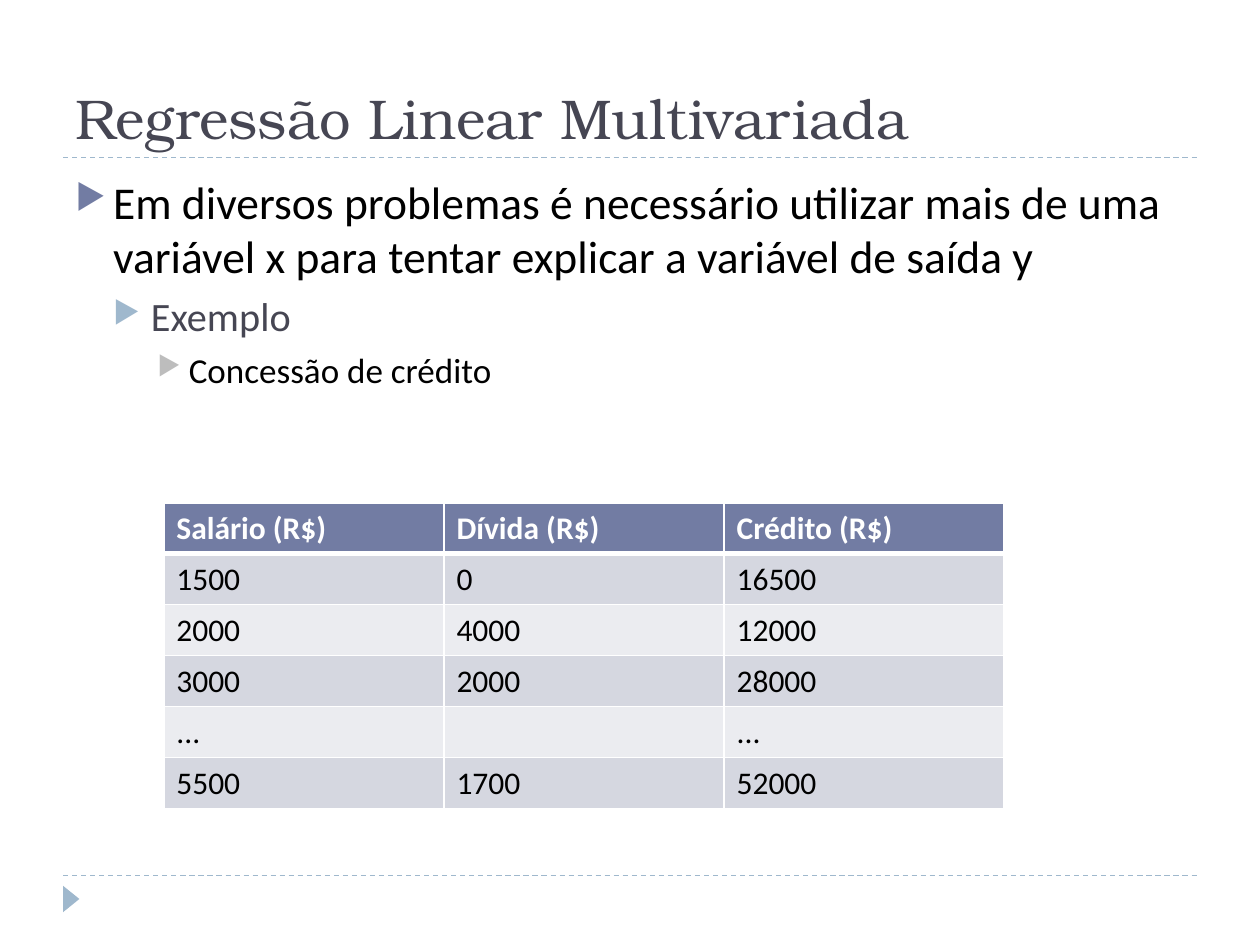
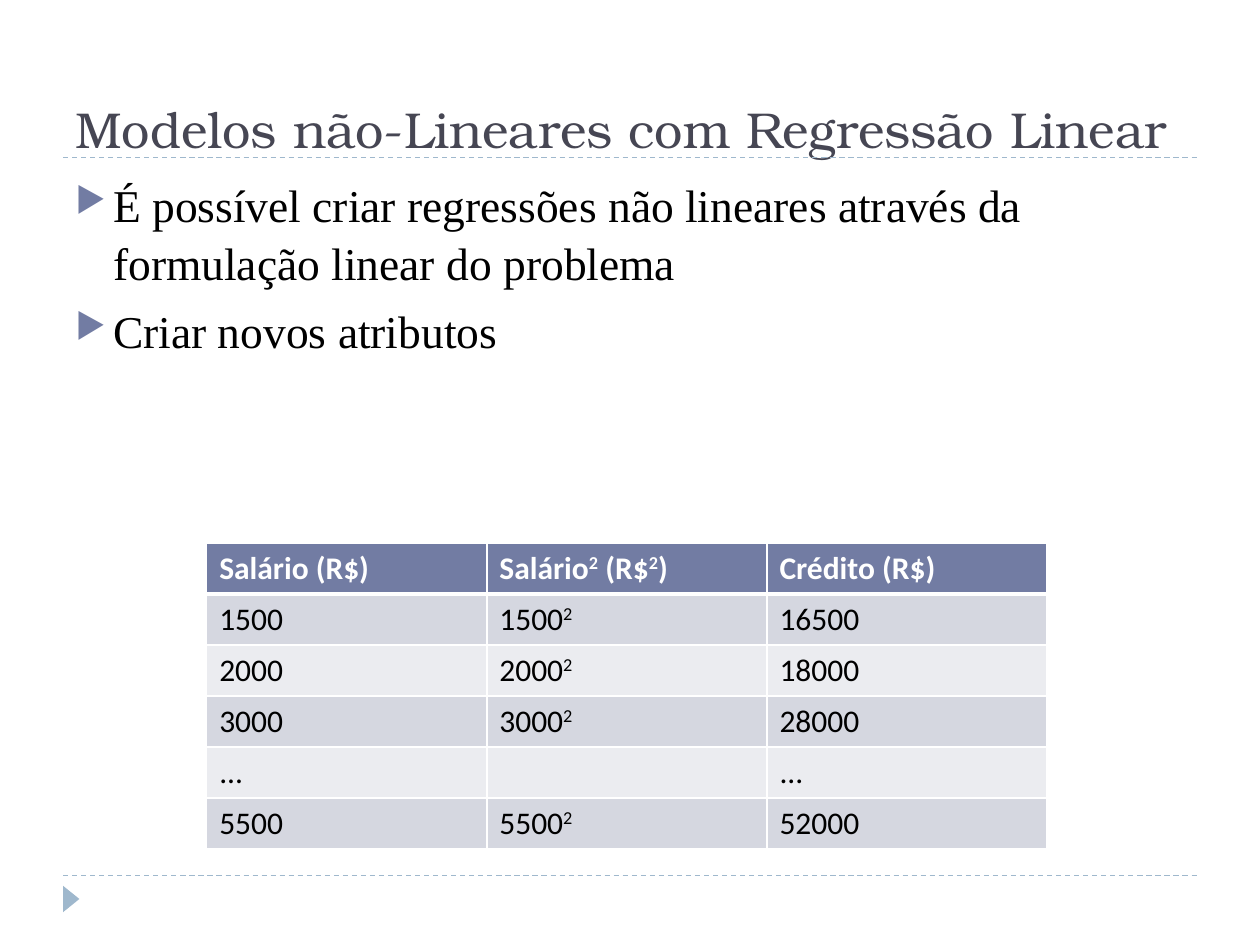
from dataclasses import dataclass

from lxml.etree import SubElement
from pptx import Presentation
from pptx.dml.color import RGBColor
from pptx.enum.dml import MSO_LINE
from pptx.enum.shapes import MSO_CONNECTOR, MSO_SHAPE
from pptx.enum.text import MSO_ANCHOR, MSO_AUTO_SIZE
from pptx.oxml.ns import qn
from pptx.util import Inches, Pt


@dataclass(frozen=True)
class Theme:
    white: str = "FFFFFF"
    black: str = "000000"
    slate: str = "464653"
    head: str = "727CA3"
    pale: str = "9FB8CD"
    grey: str = "BDBDBD"
    bands: tuple = ("D5D7E0", "EBECF0")
    serif: str = "TeX Gyre Bonum"
    sans: str = "Calibri"
    roman: str = "Times New Roman"
    title: float = 32
    small: float = 28.8
    cell: float = 18
    rule: float = 0.75
    thin: float = 1
    thick: float = 3


THEME = Theme()
LEVELS = (
    dict(size=26, color=THEME.black, mark=THEME.head, left=0.3, hang=0.3, before=6),
    dict(size=23, color=THEME.slate, mark=THEME.pale, left=0.6, hang=0.3, before=5),
    dict(size=20, color=THEME.black, mark=THEME.grey, left=0.9, hang=0.25, before=5),
)


def write(para, text, *, size, font, color, bold=False):
    for place, piece in enumerate(text.split("^")):
        if not piece:
            continue
        run = para.add_run()
        run.text = piece
        run.font.size = Pt(size)
        run.font.name = font
        run.font.bold = bold
        run.font.color.rgb = RGBColor.from_string(color)
        if place % 2:
            run.font._element.set("baseline", "30000")


def bullet(para, *, mark, left, hang):
    props = para._p.get_or_add_pPr()
    props.set("marL", str(Inches(left)))
    props.set("indent", str(-Inches(hang)))
    SubElement(SubElement(props, qn("a:buClr")), qn("a:srgbClr"), val=mark)
    SubElement(props, qn("a:buSzPct"), val="76000")
    SubElement(props, qn("a:buChar"), char="▶")


def edge(cell, side, width, color):
    line = SubElement(cell._tc.get_or_add_tcPr(), qn(f"a:ln{side}"), w=str(Pt(width)))
    SubElement(SubElement(line, qn("a:solidFill")), qn("a:srgbClr"), val=color)


class Deck:
    COLS, ROWS = 20, 15

    def __init__(self, theme):
        self.theme = theme
        self.show = Presentation()
        self.show.slide_width = Inches(10)
        self.show.slide_height = Inches(7.5)
        self.slide = None

    def across(self, cols):
        return round(self.show.slide_width * cols / self.COLS)

    def down(self, rows):
        return round(self.show.slide_height * rows / self.ROWS)

    def box(self, left, top, width, height):
        return self.across(left), self.down(top), self.across(width), self.down(height)

    def page(self, title, *, top=0.34, size=None):
        self.slide = self.show.slides.add_slide(self.show.slide_layouts[5])
        for row in (13.9, 2.5):
            self.rule(row)
        self.arrow()
        self.title(title, top, size or self.theme.title)

    def title(self, text, top, size):
        shape = self.slide.shapes.title
        shape.left, shape.top, shape.width, shape.height = self.box(1, top, 18, 2.16)
        frame = shape.text_frame
        frame.auto_size = MSO_AUTO_SIZE.NONE
        frame.vertical_anchor = MSO_ANCHOR.BOTTOM
        para = frame.paragraphs[0]
        para.alignment = 1
        write(para, text, size=size, font=self.theme.serif, color=self.theme.slate)

    def rule(self, row):
        line = self.slide.shapes.add_connector(
            MSO_CONNECTOR.STRAIGHT,
            self.across(1), self.down(row), self.across(19), self.down(row))
        line.line.color.rgb = RGBColor.from_string(self.theme.pale)
        line.line.width = Pt(self.theme.rule)
        line.line.dash_style = MSO_LINE.DASH
        SubElement(line._element.spPr, qn("a:effectLst"))

    def arrow(self):
        shape = self.slide.shapes.add_shape(
            MSO_SHAPE.ISOSCELES_TRIANGLE, *self.box(0.92, 14.14, 0.42, 0.26))
        shape.rotation = 90
        shape.shadow.inherit = False
        shape.fill.solid()
        shape.fill.fore_color.rgb = RGBColor.from_string(self.theme.pale)
        shape.line.fill.background()

    def body(self, points, *, font, pitch=1.0):
        frame = self.slide.shapes.add_textbox(*self.box(1, 2.66, 18, 10.8)).text_frame
        frame.word_wrap = True
        for place, (level, text) in enumerate(points):
            para = frame.add_paragraph() if place else frame.paragraphs[0]
            style = LEVELS[level]
            para.level = level
            para.space_before = Pt(style["before"])
            para.line_spacing = pitch
            bullet(para, mark=style["mark"], left=style["left"], hang=style["hang"])
            write(para, text, size=style["size"], font=font, color=style["color"])

    def table(self, data, left, top):
        theme = self.theme
        frame = self.slide.shapes.add_table(
            len(data), len(data[0]), *self.box(left, top, 13.34, 0.81 * len(data)))
        for row, texts in enumerate(data):
            for col, text in enumerate(texts):
                cell = frame.table.cell(row, col)
                for side in "LRTB":
                    heavy = (row, side) in ((0, "B"), (1, "T"))
                    edge(cell, side, theme.thick if heavy else theme.thin, theme.white)
                fill = theme.bands[(row - 1) % 2] if row else theme.head
                cell.fill.solid()
                cell.fill.fore_color.rgb = RGBColor.from_string(fill)
                write(cell.text_frame.paragraphs[0], text, size=theme.cell,
                      font=theme.sans, bold=not row,
                      color=theme.black if row else theme.white)


def main():
    deck = Deck(THEME)

    deck.page("Regressão Linear Multivariada")
    deck.body([
        (0, "Em diversos problemas é necessário utilizar mais de uma "
            "variável x para tentar explicar a variável de saída y"),
        (1, "Exemplo"),
        (2, "Concessão de crédito"),
    ], font=THEME.sans)
    deck.table([
        ("Salário (R$)", "Dívida (R$)", "Crédito (R$)"),
        ("1500", "0", "16500"),
        ("2000", "4000", "12000"),
        ("3000", "2000", "28000"),
        ("...", "", "..."),
        ("5500", "1700", "52000"),
    ], 2.6, 7.98)

    deck.page("Modelos não-Lineares com Regressão Linear", top=0.46, size=THEME.small)
    deck.body([
        (0, "É possível criar regressões não lineares através da "
            "formulação linear do problema"),
        (0, "Criar novos atributos"),
    ], font=THEME.roman, pitch=1.06)
    deck.table([
        ("Salário (R$)", "Salário^2^ (R$^2^)", "Crédito (R$)"),
        ("1500", "1500^2^", "16500"),
        ("2000", "2000^2^", "18000"),
        ("3000", "3000^2^", "28000"),
        ("...", "", "..."),
        ("5500", "5500^2^", "52000"),
    ], 3.28, 8.62)

    deck.show.save("out.pptx")


if __name__ == "__main__":
    main()
